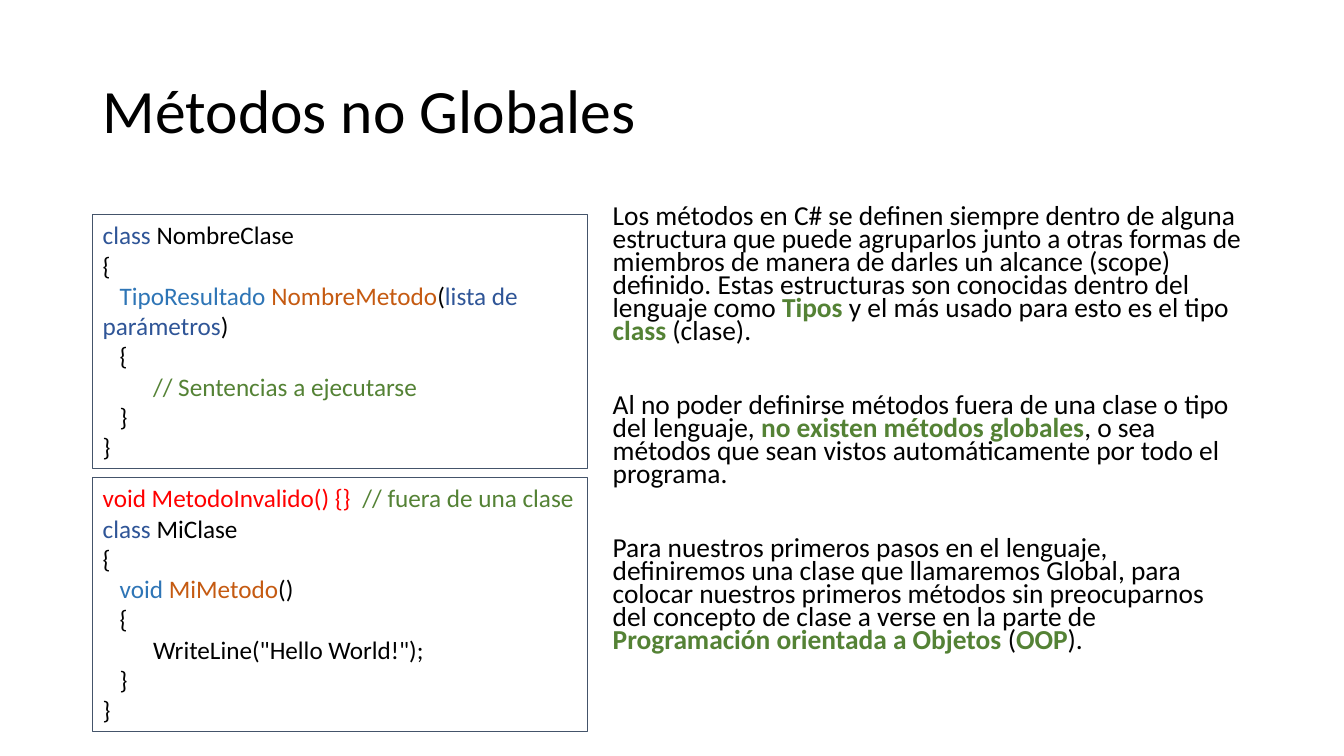
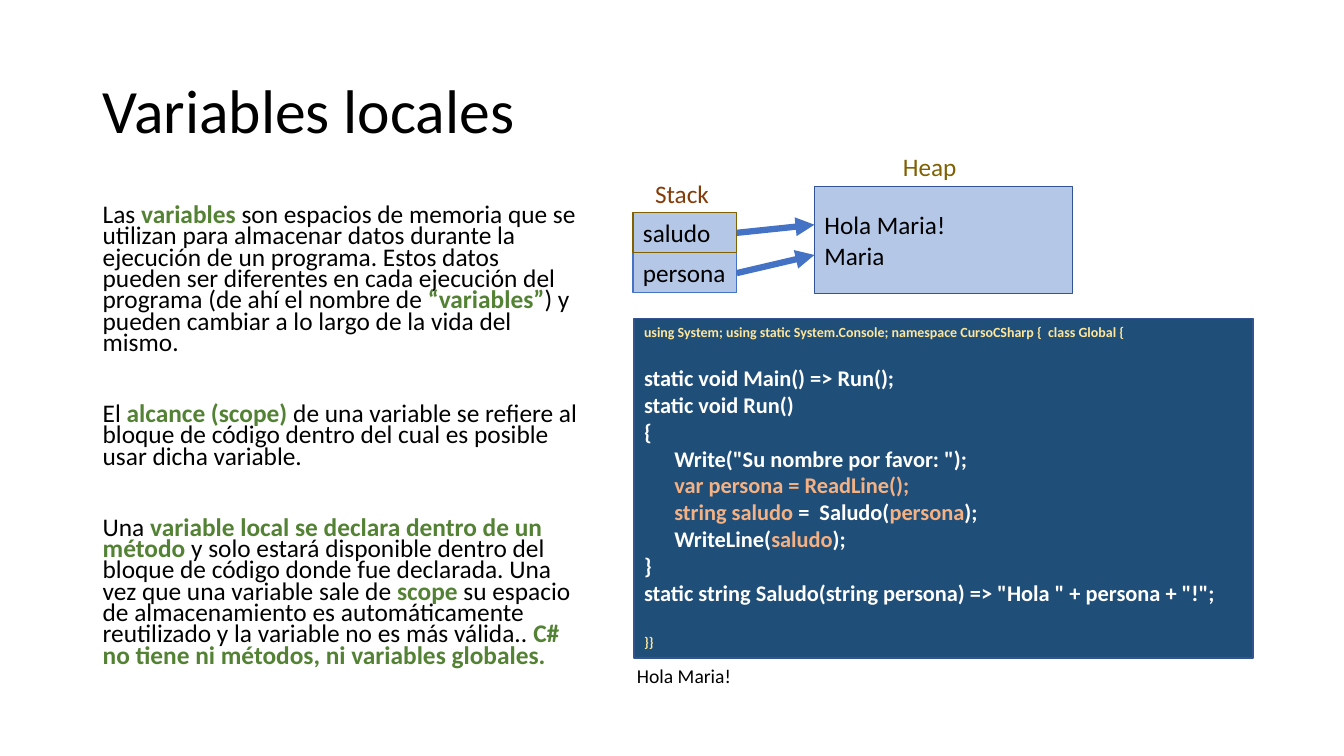
from lxml import etree
from pptx import Presentation, util as u
from pptx.dml.color import RGBColor
from pptx.enum import shapes, text
from pptx.oxml.ns import qn

BLACK, WHITE, GREEN, RED = "000000", "FFFFFF", "548235", "FF0000"
KEYWORD, TYPE, METHOD = "2F5597", "2E75B6", "C55A11"
SLATE, NAVY, EDGE, ARROW = "44546A", "1F4E79", "325491", "4472C4"
PALE, OLIVE, BROWN = "B4C7E7", "806000", "843C0B"
CREAM, PEACH = "FFE699", "F4B183"


def rgb(value):
    return RGBColor.from_string(value)


def emphasise(line):
    """Split a line at asterisks; every second part is bold green."""
    return [(part, GREEN, True) if index % 2 else part
            for index, part in enumerate(line.split("*"))]


def write(box, lines, size=18, color=BLACK, bold=False, spacing=1.0, gap=0,
          anchor=text.MSO_ANCHOR.TOP):
    """Fill a box; a line is a string or a list of strings and (text, colour, bold) spans."""
    frame = box.text_frame
    frame.word_wrap = True
    frame.vertical_anchor = anchor
    for index, line in enumerate(lines):
        para = frame.paragraphs[0] if index == 0 else frame.add_paragraph()
        para.alignment = text.PP_ALIGN.LEFT
        para.line_spacing = spacing
        para.space_before = u.Pt(gap if index else 0)
        for part in [line] if isinstance(line, str) else line:
            words, *style = (part,) if isinstance(part, str) else part
            span = para.add_run()
            span.text = words
            font = span.font
            font.name, font.size = "Calibri", u.Pt(size)
            font.color.rgb = rgb(style[0] if style else color)
            font.bold = style[1] if len(style) > 1 else bold
    return frame


class Deck:
    """The shared style and the current page; places are percentages of the slide."""
    left, body_top, body_height = 6.9, 26.67, 63.47
    column = 36.82

    def __init__(self):
        self.file = Presentation()
        self.file.slide_width, self.file.slide_height = u.Inches(13.333), u.Inches(7.5)

    def across(self, share):
        return round(self.file.slide_width * share / 100)

    def down(self, share):
        return round(self.file.slide_height * share / 100)

    def area(self, left, top, width, height):
        return self.across(left), self.down(top), self.across(width), self.down(height)

    def page(self, title):
        self.current = self.file.slides.add_slide(self.file.slide_layouts[6]).shapes
        self.label((self.left, 5.33, 86.25, 19.33), [title], size=44, spacing=0.9,
                   anchor=text.MSO_ANCHOR.MIDDLE)

    def label(self, place, lines, **style):
        return write(self.current.add_textbox(*self.area(*place)), lines, **style)

    def body(self, left, width, lines, size, gap):
        self.label((left, self.body_top, width, self.body_height),
                   [emphasise(line) for line in lines], size=size, spacing=0.7, gap=gap)

    def panel(self, place, lines, line, fill=None, weight=0.75, **style):
        box = self.current.add_shape(shapes.MSO_SHAPE.RECTANGLE, *self.area(*place))
        box.shadow.inherit = False
        if fill:
            box.fill.solid()
            box.fill.fore_color.rgb = rgb(fill)
        else:
            box.fill.background()
        box.line.color.rgb = rgb(line)
        box.line.width = u.Pt(weight)
        return write(box, lines, **style)

    def arrow(self, start, end):
        line = self.current.add_connector(
            shapes.MSO_CONNECTOR.STRAIGHT, self.across(start[0]), self.down(start[1]),
            self.across(end[0]), self.down(end[1]))
        line.line.color.rgb = rgb(ARROW)
        line.line.width = u.Pt(4.5)
        etree.SubElement(line.line._get_or_add_ln(), qn("a:tailEnd"), type="triangle")
        etree.SubElement(line._element.spPr, qn("a:effectLst"))


def methods_page(deck):
    deck.page("Métodos no Globales")
    deck.body(44.85, 48.3, [
        "Los métodos en C# se definen siempre dentro de alguna estructura que puede "
        "agruparlos junto a otras formas de miembros de manera de darles un alcance (scope) "
        "definido. Estas estructuras son conocidas dentro del lenguaje como *Tipos *y el más "
        "usado para esto es el tipo *class *(clase).",
        "Al no poder definirse métodos fuera de una clase o tipo del lenguaje, *no existen "
        "métodos globales*, o sea métodos que sean vistos automáticamente por todo el programa.",
        "Para nuestros primeros pasos en el lenguaje, definiremos una clase que llamaremos "
        "Global, para colocar nuestros primeros métodos sin preocuparnos del concepto de clase "
        "a verse en la parte de *Programación orientada a Objetos *(*OOP*).",
    ], size=19.6, gap=36.5)

    template = [
        [("class", KEYWORD), " NombreClase"],
        "{",
        [("   TipoResultado ", TYPE), ("NombreMetodo", METHOD), "(",
         ("lista de parámetros", KEYWORD), ")"],
        "   {",
        [("\t// Sentencias a ejecutarse", GREEN)],
        "   }",
        "}",
    ]
    example = [
        [("void MetodoInvalido() {}  ", RED), ("// fuera de una clase", GREEN)],
        [("class", KEYWORD), " MiClase"],
        "{",
        [("   void ", TYPE), ("MiMetodo", METHOD), "()"],
        "   {",
        "\tWriteLine(\"Hello World!\");",
        "   }",
        "}",
    ]
    for row, code in enumerate([template, example]):
        deck.panel((deck.left, 28.4 + 34.8 * row, deck.column, 33.6), code, SLATE)


def variables_page(deck):
    deck.page("Variables locales")
    deck.body(deck.left, deck.column, [
        "Las *variables* son espacios de memoria que se utilizan para almacenar datos durante "
        "la ejecución de un programa. Estos datos pueden ser diferentes en cada ejecución del "
        "programa (de ahí el nombre de *“variables”*) y pueden cambiar a lo largo de la vida "
        "del mismo.",
        "El *alcance (scope) *de una variable se refiere al bloque de código dentro del cual es "
        "posible usar dicha variable.",
        "Una *variable local se declara dentro de un método* y solo estará disponible dentro "
        "del bloque de código donde fue declarada. Una vez que una variable sale de *scope *su "
        "espacio de almacenamiento es automáticamente reutilizado y la variable no es más "
        "válida..* C# no tiene ni métodos, ni variables globales.*",
    ], size=18.1, gap=35.5)

    code = deck.panel((47.18, 42.13, 46.05, 44.93), [
        "using System; using static System.Console; namespace CursoCSharp {  class Global {",
        "static void Main() => Run();",
        "static void Run()",
        "{",
        "      Write(\"Su nombre por favor: \");",
        ["      ", ("var persona = ReadLine();", PEACH)],
        ["      ", ("string saludo ", PEACH), "=  Saludo(", ("persona", PEACH), ");"],
        ["      WriteLine(", ("saludo", PEACH), ");"],
        "}",
        "static string Saludo(string persona) => \"Hola \" + persona + \"!\";",
        "}}",
    ], EDGE, fill=NAVY, weight=1, size=16, color=WHITE, bold=True)
    wrapper_lines = code.paragraphs[0], code.paragraphs[-1]
    for para in wrapper_lines:
        font = para.runs[0].font
        font.size, font.color.rgb = u.Pt(10), rgb(CREAM)
    code.paragraphs[1].space_before = u.Pt(17)
    code.paragraphs[-1].space_before = u.Pt(19.5)

    stack_left, stack_width, cell = 47.1, 7.72, 5.33
    for name, top, edge in [("persona", 33.33, ARROW), ("saludo", 28.13, OLIVE)]:
        deck.panel((stack_left, top, stack_width, cell), [name], edge, fill=PALE)
    deck.label((48, 22.93, stack_width, cell), ["Stack"], color=BROWN)

    heap_left = 60.6
    deck.panel((heap_left, 24.67, 19.2, 14.13), ["Hola Maria!", "Maria"], EDGE, fill=PALE,
               weight=1, anchor=text.MSO_ANCHOR.MIDDLE)
    deck.label((66.45, 19.33, 8.55, cell), ["Heap"], color=OLIVE)
    for start, end in [(30.8, 29.73), (36.13, 33.73)]:
        deck.arrow((stack_left + stack_width, start), (heap_left, end))
    deck.label((46.65, 87.2, 16.2, 4.53), ["Hola Maria!"], size=14)


def main():
    deck = Deck()
    methods_page(deck)
    variables_page(deck)
    deck.file.save("out.pptx")


if __name__ == "__main__":
    main()
